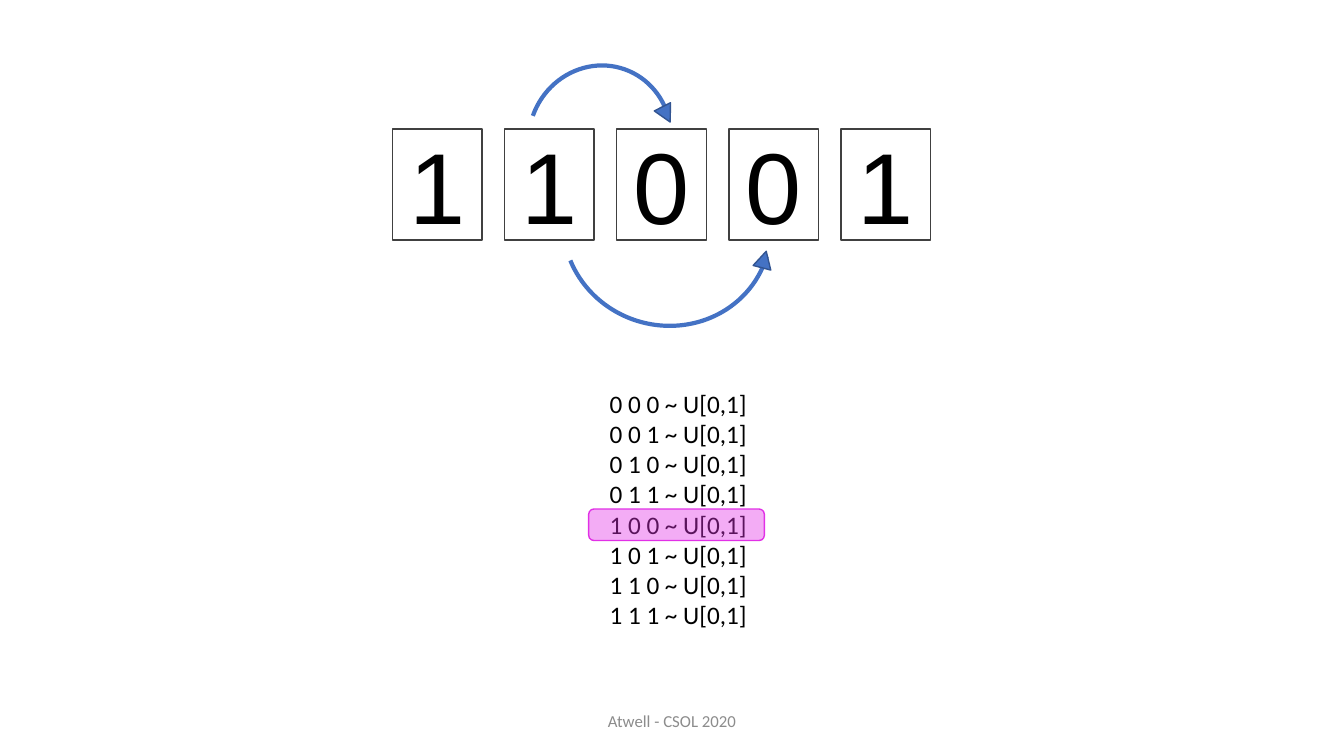
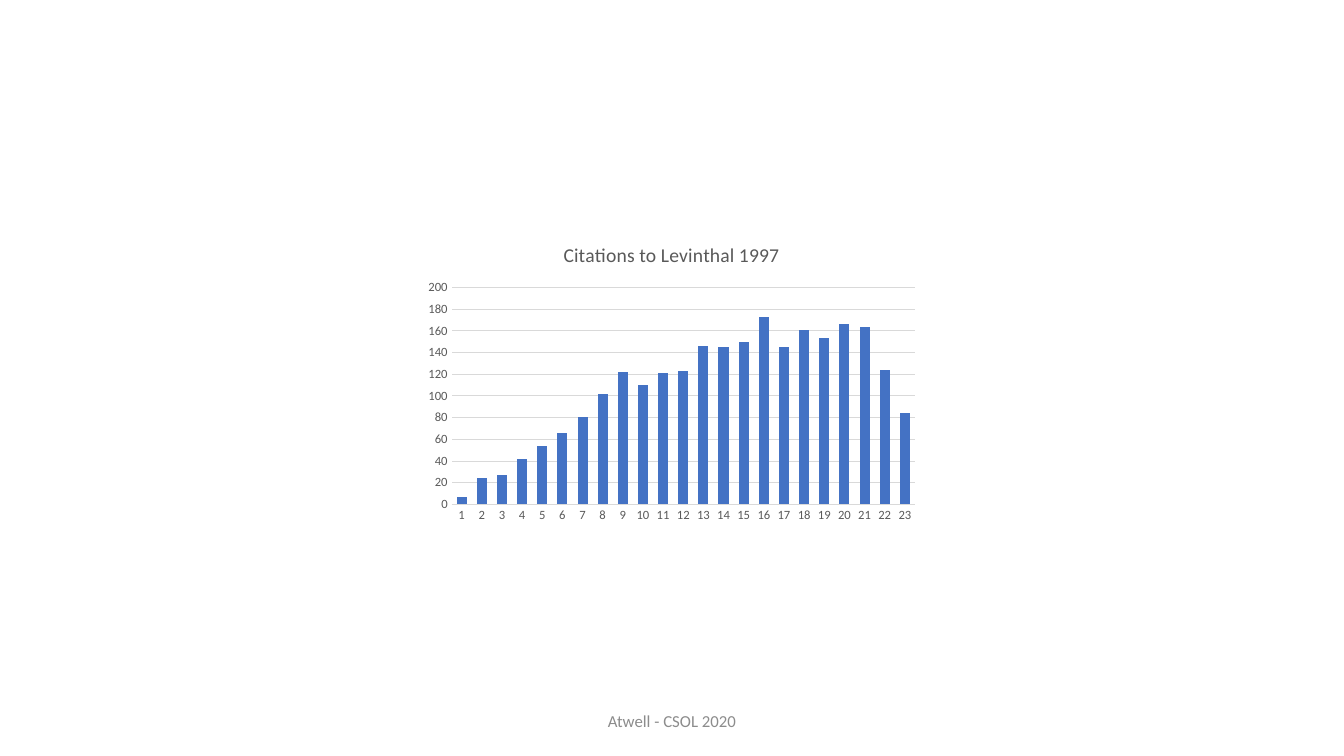
from lxml import etree
from pptx import Presentation
from pptx.chart.data import CategoryChartData
from pptx.dml.color import RGBColor
from pptx.enum.chart import XL_CHART_TYPE, XL_TICK_MARK
from pptx.enum.shapes import MSO_SHAPE
from pptx.enum.text import MSO_ANCHOR, PP_ALIGN
from pptx.oxml.ns import qn
from pptx.util import Pt

COLUMNS = XL_CHART_TYPE.COLUMN_CLUSTERED
NO_TICK = XL_TICK_MARK.NONE
RECTANGLE = MSO_SHAPE.RECTANGLE
ROUNDED = MSO_SHAPE.ROUNDED_RECTANGLE
ARC = MSO_SHAPE.ARC
TRIANGLE = MSO_SHAPE.ISOSCELES_TRIANGLE
MIDDLE = MSO_ANCHOR.MIDDLE
LEFT, CENTER = PP_ALIGN.LEFT, PP_ALIGN.CENTER

BLACK = RGBColor(0x00, 0x00, 0x00)
CARD_EDGE = RGBColor(0x40, 0x40, 0x40)
BLUE = RGBColor(0x44, 0x72, 0xC4)
DARK_BLUE = RGBColor(0x32, 0x54, 0x91)
MAGENTA = RGBColor(0xE1, 0x30, 0xE6)
AXIS_TEXT = RGBColor(0x59, 0x59, 0x59)
GRID = RGBColor(0xD9, 0xD9, 0xD9)
FOOTER_GREY = RGBColor(0x8C, 0x8C, 0x8C)

BODY_FONT = "Calibri"
DIGIT_FONT = "Arial"

FOOTER = "Atwell - CSOL 2020"
DIGITS = ["1", "1", "0", "0", "1"]
PATTERNS = ["0 0 0", "0 0 1", "0 1 0", "0 1 1", "1 0 0", "1 0 1", "1 1 0", "1 1 1"]
DISTRIBUTION = " ~ U[0,1]"
CHART_TITLE = "Citations to Levinthal 1997"
CITATIONS = [7, 24, 27, 42, 54, 66, 81, 102, 122, 110, 121, 123,
             146, 145, 150, 173, 145, 161, 153, 166, 164, 124, 84]

CARD_LEFT, CARD_TOP, CARD_WIDTH, CARD_HEIGHT = 280.3, 92, 64, 79.5
CARD_PITCH = 80.1
HEAD_WIDTH, HEAD_HEIGHT = 13, 12.2
CURVED_ARROWS = [
    {"arc": (405.4, 87.1, 141.8, 149), "turn": 106.9, "head": (539.3, 179.3), "head_turn": 14.6},
    {"arc": (375.1, 49, 106.6, 101.5), "turn": 289.6, "head": (469.4, 75.6), "head_turn": 153.2},
]
ARC_START, ARC_END = 162, 32.13


def add_figure(page, kind, bounds, line_color, line_width, fill=None, turn=0):
    figure = page.shapes.add_shape(kind, *(Pt(value) for value in bounds))
    figure.shadow.inherit = False
    figure.rotation = turn
    if fill is None:
        figure.fill.background()
    else:
        figure.fill.solid()
        figure.fill.fore_color.rgb = fill
    figure.line.color.rgb = line_color
    figure.line.width = Pt(line_width)
    return figure


def style_font(font, size, color, name=BODY_FONT):
    font.name = name
    font.size = Pt(size)
    font.color.rgb = color
    font.bold = False


def write_lines(frame, lines, size, color, name=BODY_FONT, align=LEFT):
    for index, text in enumerate(lines):
        para = frame.paragraphs[0] if index == 0 else frame.add_paragraph()
        para.alignment = align
        span = para.add_run()
        span.text = text
        style_font(span.font, size, color, name)


def add_text(page, bounds, lines, size, color, align=LEFT):
    box = page.shapes.add_textbox(*(Pt(value) for value in bounds))
    box.text_frame.word_wrap = True
    write_lines(box.text_frame, lines, size, color, align=align)
    return box


def add_page(deck):
    page = deck.slides.add_slide(deck.slide_layouts[6])
    footer = add_text(page, (318, 500.5, 324, 28.75), [FOOTER], 12, FOOTER_GREY, CENTER)
    footer.text_frame.vertical_anchor = MIDDLE
    return page


def add_card(page, index, digit):
    bounds = (CARD_LEFT + index * CARD_PITCH, CARD_TOP, CARD_WIDTH, CARD_HEIGHT)
    card = add_figure(page, RECTANGLE, bounds, CARD_EDGE, 1)
    frame = card.text_frame
    frame.word_wrap = False
    frame.vertical_anchor = MIDDLE
    frame.margin_left = frame.margin_right = frame.margin_top = frame.margin_bottom = 0
    write_lines(frame, [digit], 72, BLACK, DIGIT_FONT, CENTER)


def add_curved_arrow(page, arrow):
    arc = add_figure(page, ARC, arrow["arc"], BLUE, 3, turn=arrow["turn"])
    arc.adjustments[0] = ARC_START
    arc.adjustments[1] = ARC_END
    head = (*arrow["head"], HEAD_WIDTH, HEAD_HEIGHT)
    add_figure(page, TRIANGLE, head, DARK_BLUE, 1, BLUE, arrow["head_turn"])


def set_opacity(figure, percent):
    color = figure.fill._xPr.find(qn("a:solidFill"))[0]
    etree.SubElement(color, qn("a:alpha")).set("val", str(percent * 1000))


def build_neighbors(deck):
    page = add_page(deck)
    for index, digit in enumerate(DIGITS):
        add_card(page, index, digit)
    for arrow in CURVED_ARROWS:
        add_curved_arrow(page, arrow)
    rows = [pattern + DISTRIBUTION for pattern in PATTERNS]
    add_text(page, (428.4, 273.6, 118, 181.5), rows, 18, BLACK)
    highlight = add_figure(page, ROUNDED, (420.5, 363.6, 125.5, 22.5), MAGENTA, 1, MAGENTA)
    set_opacity(highlight, 40)


def build_citations(deck):
    page = add_page(deck)
    data = CategoryChartData()
    data.categories = [str(year) for year in range(1, len(CITATIONS) + 1)]
    data.add_series("Series 1", CITATIONS)
    chart = page.shapes.add_chart(COLUMNS, Pt(298.8), Pt(162), Pt(362), Pt(216), data).chart
    style_font(chart.font, 10, BLACK)
    chart.has_legend = False
    chart.has_title = True
    write_lines(chart.chart_title.text_frame, [CHART_TITLE], 14, AXIS_TEXT, align=CENTER)
    chart.chart_title.include_in_layout = False

    plot = chart.plots[0]
    plot.vary_by_categories = False
    plot.gap_width = 100
    plot.overlap = -51
    bars = plot.series[0].format.fill
    bars.solid()
    bars.fore_color.rgb = BLUE

    years, counts = chart.category_axis, chart.value_axis
    for axis in (years, counts):
        axis.major_tick_mark = axis.minor_tick_mark = NO_TICK
        style_font(axis.tick_labels.font, 9, AXIS_TEXT)
    counts.minimum_scale, counts.maximum_scale, counts.major_unit = 0, 200, 20
    counts.format.line.fill.background()
    counts.has_major_gridlines = True
    for line in (years.format.line, counts.major_gridlines.format.line):
        line.color.rgb = GRID
        line.width = Pt(0.75)


def main():
    deck = Presentation()
    deck.slide_width, deck.slide_height = Pt(960), Pt(540)
    build_neighbors(deck)
    build_citations(deck)
    deck.save("out.pptx")


if __name__ == "__main__":
    main()
